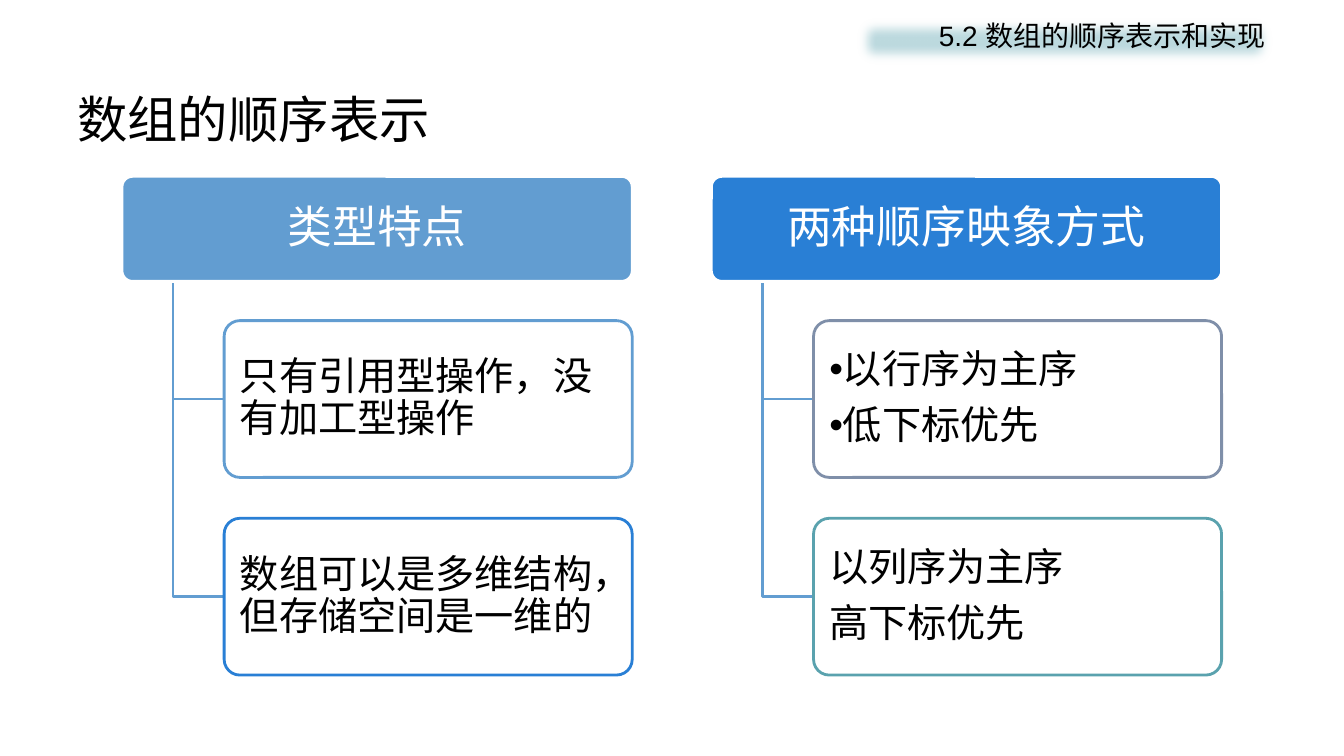
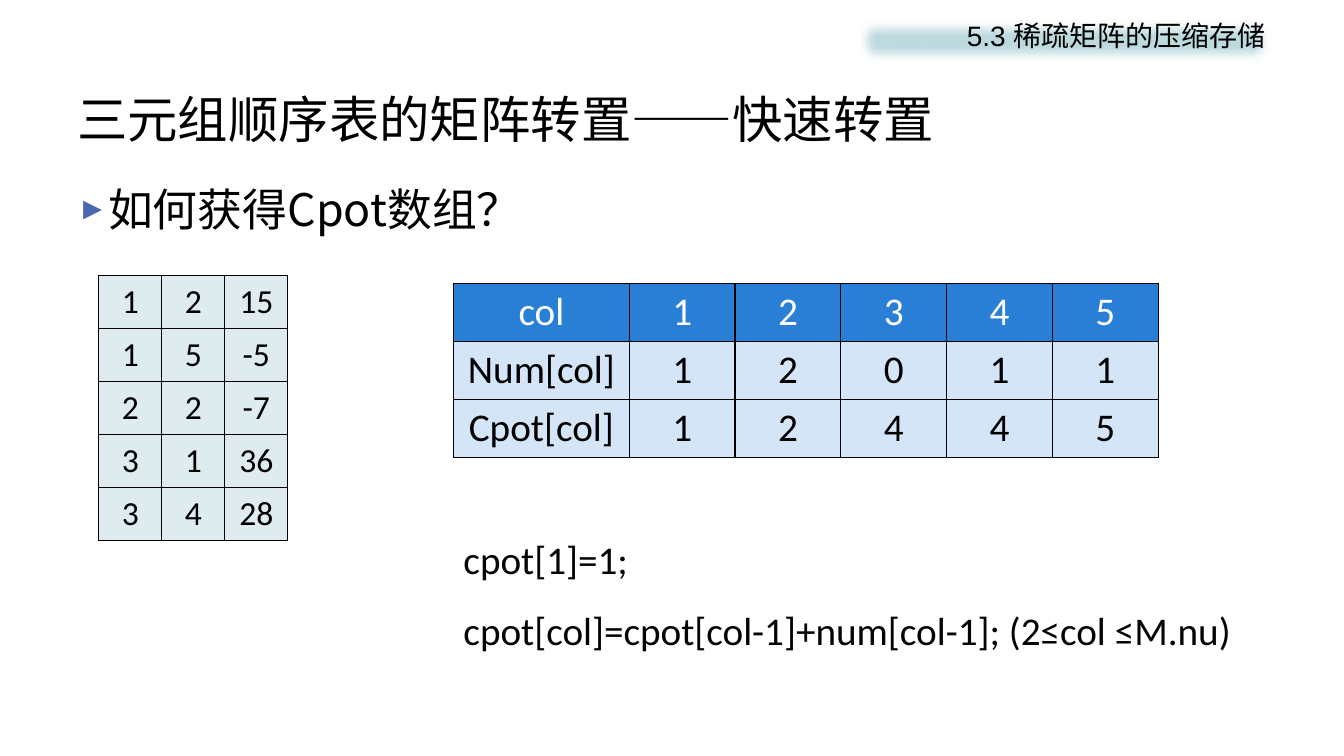
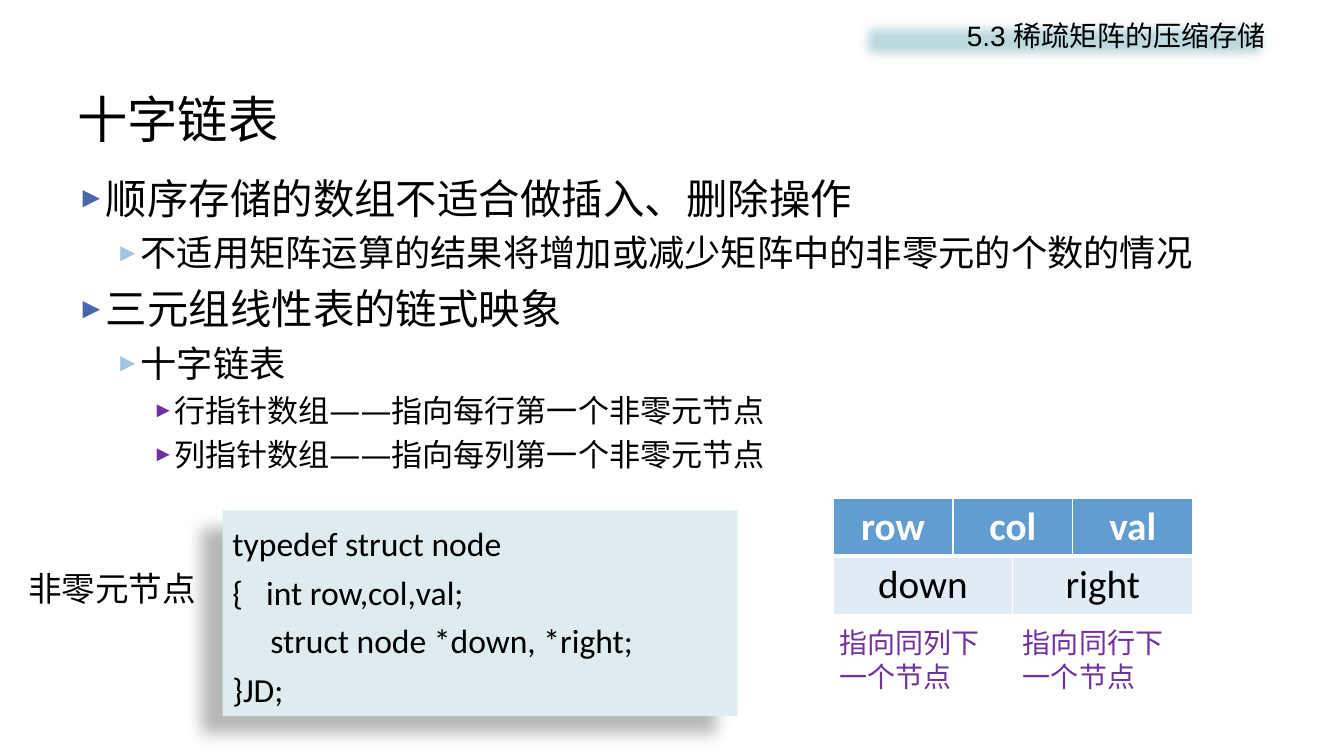
from lxml import etree
from pptx import Presentation
from pptx import util as u
from pptx.dml import color as dml
from pptx.enum import shapes, text
from pptx.oxml import ns

Pt = u.Pt
CENTER, RIGHT = text.PP_ALIGN.CENTER, text.PP_ALIGN.RIGHT
MIDDLE = text.MSO_ANCHOR.MIDDLE
NOTO, BLACK, WHITE = "Noto Sans CJK SC", "000000", "FFFFFF"
SKY, BLUE, PURPLE, PALE = "629DD1", "297FD5", "7030A0", "DEECEF"


def paint(fill, color):
    fill.solid()
    fill.fore_color.rgb = dml.RGBColor.from_string(color)


def write(frame, lines, size, color=BLACK, font="Arial", align=None,
          anchor=None, leading=None, after=0, bold=False):
    frame.word_wrap = True
    frame.vertical_anchor = anchor
    frame.text = "\n".join(lines)
    for para in frame.paragraphs:
        para.alignment = align or text.PP_ALIGN.LEFT
        para.line_spacing = leading
        para.space_after = Pt(after)
        for span in para.runs:
            span.font.size = Pt(size)
            span.font.bold = bold
            paint(span.font.fill, color)
            span.font.name = font
            east = etree.SubElement(span.font._element, ns.qn("a:ea"))
            east.set("typeface", font)


deck = Presentation()
deck.slide_width, deck.slide_height = Pt(960), Pt(540)
indents = []

pages = []
for title, section in [
    ("数组的顺序表示", "5.2 数组的顺序表示和实现"),
    ("三元组顺序表的矩阵转置——快速转置", "5.3 稀疏矩阵的压缩存储"),
    ("十字链表", "5.3 稀疏矩阵的压缩存储"),
]:
    page = deck.slides.add_slide(deck.slide_layouts[6])
    pages.append(page)
    box = page.shapes.add_textbox(Pt(48), Pt(57.6), Pt(864), Pt(54))
    write(box.text_frame, [title], 36, font=NOTO, anchor=MIDDLE)
    band = page.shapes.add_shape(shapes.MSO_SHAPE.RECTANGLE,
                                 Pt(609), Pt(10), Pt(302.5), Pt(39))
    paint(band.fill, "BDDADF")
    band.line.fill.background()
    effects = etree.SubElement(band._element.spPr, ns.qn("a:effectLst"))
    etree.SubElement(effects, ns.qn("a:softEdge")).set("rad", str(Pt(9)))
    write(band.text_frame, [section], 20, align=RIGHT, anchor=text.MSO_ANCHOR.TOP)

feature_page, transpose_page, list_page = pages

branches = [
    ("类型特点", SKY, [
        (SKY, ["只有引用型操作，没有加工型操作"], False),
        (BLUE, ["数组可以是多维结构，但存储空间是一维的"], False)]),
    ("两种顺序映象方式", BLUE, [
        ("7F8FA9", ["以行序为主序", "低下标优先"], True),
        ("5AA2AE", ["以列序为主序", "高下标优先"], False)]),
]
for column, (heading, color, children) in enumerate(branches):
    left = 87.1 + 421 * column
    cards = [(left, 126, 364.5, 75, color, WHITE, [heading], 32, WHITE, CENTER, False)]
    for row, (outline, lines, dotted) in enumerate(children):
        top = 229 + 141.2 * row
        middle = top + 56
        trunk = feature_page.shapes.build_freeform(Pt(left + 36.5), Pt(201))
        trunk.add_line_segments([(Pt(left + 36.5), Pt(middle)),
                                 (Pt(left + 73), Pt(middle))], close=False)
        elbow = trunk.convert_to_shape()
        elbow.shadow.inherit = False
        elbow.fill.background()
        paint(elbow.line.fill, SKY)
        elbow.line.width = Pt(2)
        cards.append((left + 73, top, 291.5, 112, WHITE, outline, lines, 28, BLACK, None, dotted))
    for x, y, width, height, fill, outline, lines, size, ink, align, dotted in cards:
        card = feature_page.shapes.add_shape(shapes.MSO_SHAPE.ROUNDED_RECTANGLE,
                                             Pt(x), Pt(y), Pt(width), Pt(height))
        card.adjustments[0] = 0.1
        card.shadow.inherit = False
        paint(card.fill, fill)
        paint(card.line.fill, outline)
        card.line.width = Pt(2)
        frame = card.text_frame
        frame.margin_left = frame.margin_right = Pt(8)
        write(frame, lines, size, ink, align=align, anchor=MIDDLE, leading=0.9, after=10)
        if dotted:
            indents += [(para, 0, 0, "•", BLACK, 100) for para in frame.paragraphs]

levels = [(20.2, 20.2, "4A66AC"), (44, 16.6, "A1C4E3"), (67.7, 13.7, PURPLE)]
outlines = [
    (transpose_page, 126, 70, [(0, 32, NOTO, "如何获得Cpot数组？")]),
    (list_page, 120, 235, [
        (0, 29.6, NOTO, "顺序存储的数组不适合做插入、删除操作"),
        (1, 25.9, "DejaVu Sans", "不适用矩阵运算的结果将增加或减少矩阵中的非零元的个数的情况"),
        (0, 29.6, "DejaVu Sans", "三元组线性表的链式映象"),
        (1, 25.9, "DejaVu Sans", "十字链表"),
        (2, 22.2, "DejaVu Sans", "行指针数组——指向每行第一个非零元节点"),
        (2, 22.2, "DejaVu Sans", "列指针数组——指向每列第一个非零元节点")]),
]
for page, top, height, items in outlines:
    frame = page.shapes.add_textbox(Pt(48), Pt(top), Pt(864), Pt(height)).text_frame
    write(frame, [item[3] for item in items], 32)
    for index, (para, (level, size, font, words)) in enumerate(zip(frame.paragraphs, items)):
        margin, hang, color = levels[level]
        para.level = level
        para.space_before = Pt(0.22 * size if index else 0)
        span = para.runs[0]
        span.font.size = Pt(size)
        span.font.name = font
        span.font._element.find(ns.qn("a:ea")).set("typeface", font)
        indents.append((para, margin, hang, "►", color, 70))

tables = [
    (transpose_page, 70.6, 196.7, [45] * 3, 37.9, 24, 3, PALE, PALE, BLACK, False, BLACK, 1,
     [["1", "2", "15"], ["1", "5", "-5"], ["2", "2", "-7"],
      ["3", "1", "36"], ["3", "4", "28"]]),
    (transpose_page, 324, 202.4, [125.5] + [75.6] * 5, 41.4, 28, 7.2, BLUE, "D4E5F7", WHITE,
     False, BLACK, 1,
     [["col", "1", "2", "3", "4", "5"], ["Num[col]", "1", "2", "0", "1", "1"],
      ["Cpot[col]", "1", "2", "4", "4", "5"]]),
    (list_page, 595, 356, [85.7, 42.8, 42.8, 85.7], 41.4, 28, 7.2, SKY, "E0EBF6", WHITE,
     True, WHITE, 3,
     [["row", "col", None, "val"], ["down", None, "right", None]]),
]
for (page, left, top, widths, height, size, margin, head_fill, body_fill, head_ink,
     head_bold, edge, head_rule, rows) in tables:
    table = page.shapes.add_table(len(rows), len(widths), Pt(left), Pt(top),
                                  Pt(sum(widths)), Pt(height * len(rows))).table
    table.first_row = table.horz_banding = False
    for column, width in zip(table.columns, widths):
        column.width = Pt(width)
    for r, row in enumerate(rows):
        table.rows[r].height = Pt(height)
        for c, words in enumerate(row):
            cell = table.cell(r, c)
            cell.margin_left = cell.margin_right = Pt(margin)
            if words is None:
                table.cell(r, c - 1).merge(cell)
            else:
                write(cell.text_frame, [words], size, BLACK if r else head_ink, "Calibri",
                      CENTER, bold=head_bold and r == 0)
            cell.vertical_anchor = MIDDLE
            paint(cell.fill, body_fill if r else head_fill)
            for place, side in enumerate(["lnL", "lnR", "lnT", "lnB"]):
                weight = head_rule if (r, side) in [(0, "lnB"), (1, "lnT")] else 1
                border = etree.Element(ns.qn("a:" + side), w=str(Pt(weight)))
                solid = etree.SubElement(border, ns.qn("a:solidFill"))
                etree.SubElement(solid, ns.qn("a:srgbClr")).set("val", edge)
                cell._tc.get_or_add_tcPr().insert(place, border)

formula = transpose_page.shapes.add_textbox(Pt(324), Pt(362), Pt(571), Pt(104))
write(formula.text_frame, ["cpot[1]=1;", "cpot[col]=cpot[col-1]+num[col-1]; (2≤col ≤M.nu)"],
      28, "020406", "Calibri", leading=1.5)

code = list_page.shapes.add_shape(shapes.MSO_SHAPE.RECTANGLE,
                                  Pt(159), Pt(364.5), Pt(368), Pt(147))
paint(code.fill, PALE)
code.line.fill.background()
effects = etree.SubElement(code._element.spPr, ns.qn("a:effectLst"))
shade = etree.SubElement(effects, ns.qn("a:outerShdw"), blurRad=str(Pt(11.8)),
                         dist=str(Pt(19.7)), dir=str(141 * 60000), algn="ctr", rotWithShape="0")
tone = etree.SubElement(shade, ns.qn("a:srgbClr"), val=BLACK)
etree.SubElement(tone, ns.qn("a:alpha"), val="28000")
write(code.text_frame, ["typedef struct node", "{\tint row,col,val;",
                        "struct node *down, *right;", "}JD;"],
      24, font="Calibri", anchor=text.MSO_ANCHOR.TOP, leading=1.2)
code_lines = code.text_frame.paragraphs
indents += [(code_lines[1], 24, 24, None, None, None), (code_lines[2], 27, 0, None, None, None)]

for left, width, words in [(592.5, 131, "指向同列下一个节点"), (723.6, 125.5, "指向同行下一个节点")]:
    note = list_page.shapes.add_textbox(Pt(left), Pt(443.5), Pt(width), Pt(55.5))
    write(note.text_frame, [words], 20, PURPLE, "DejaVu Sans")
label = list_page.shapes.add_textbox(Pt(13), Pt(402), Pt(135.4), Pt(36))
write(label.text_frame, ["非零元节点"], 24, font="DejaVu Sans")
label.text_frame.word_wrap = False

for para, margin, hang, mark, color, percent in indents:
    props = para._p.get_or_add_pPr()
    props.set("marL", str(Pt(margin)))
    props.set("indent", str(-Pt(hang)))
    if mark:
        tint = etree.SubElement(props, ns.qn("a:buClr"))
        etree.SubElement(tint, ns.qn("a:srgbClr"), val=color)
        etree.SubElement(props, ns.qn("a:buSzPct"), val=str(percent * 1000))
        etree.SubElement(props, ns.qn("a:buFont"), typeface="Arial")
        etree.SubElement(props, ns.qn("a:buChar"), char=mark)

deck.save("out.pptx")
